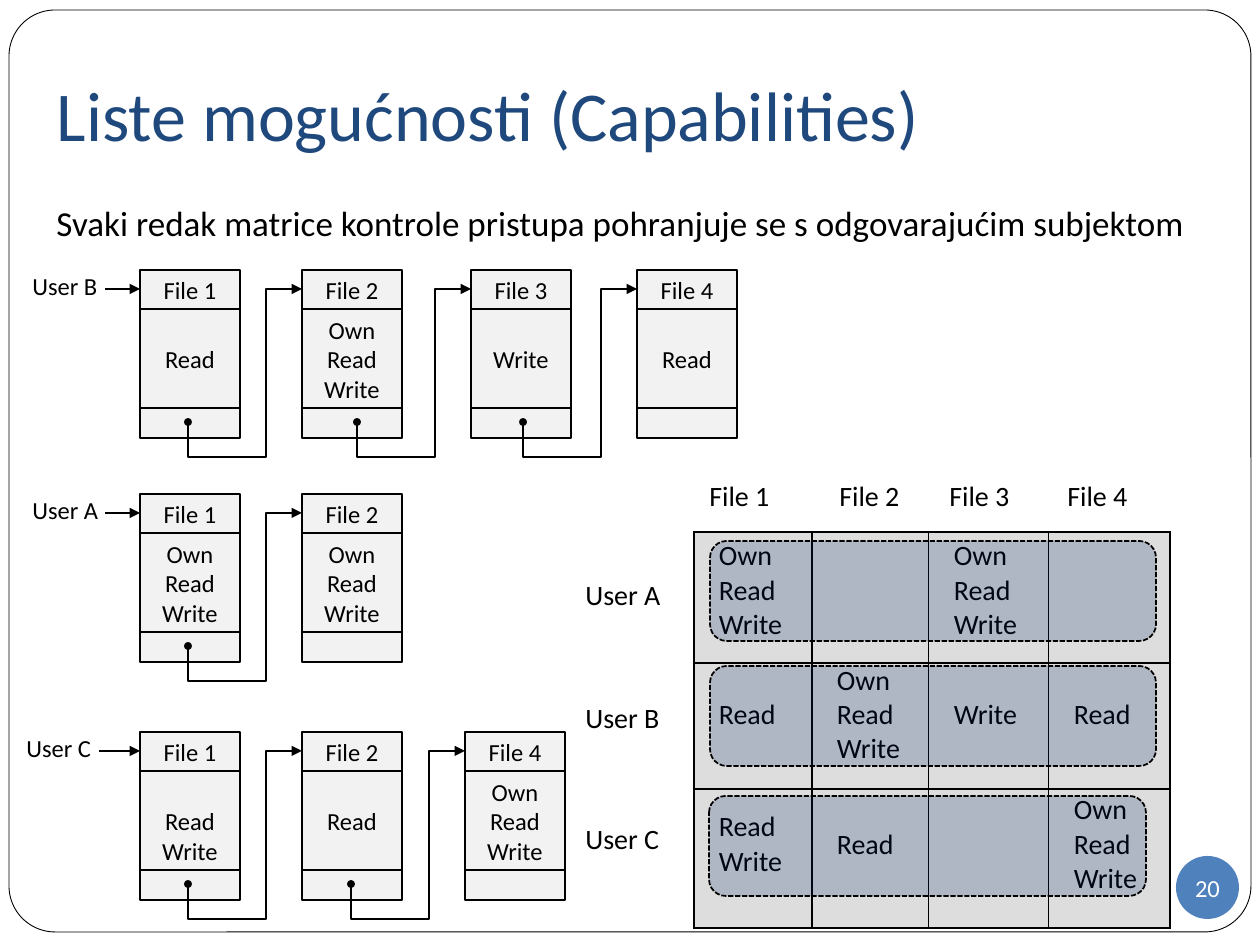
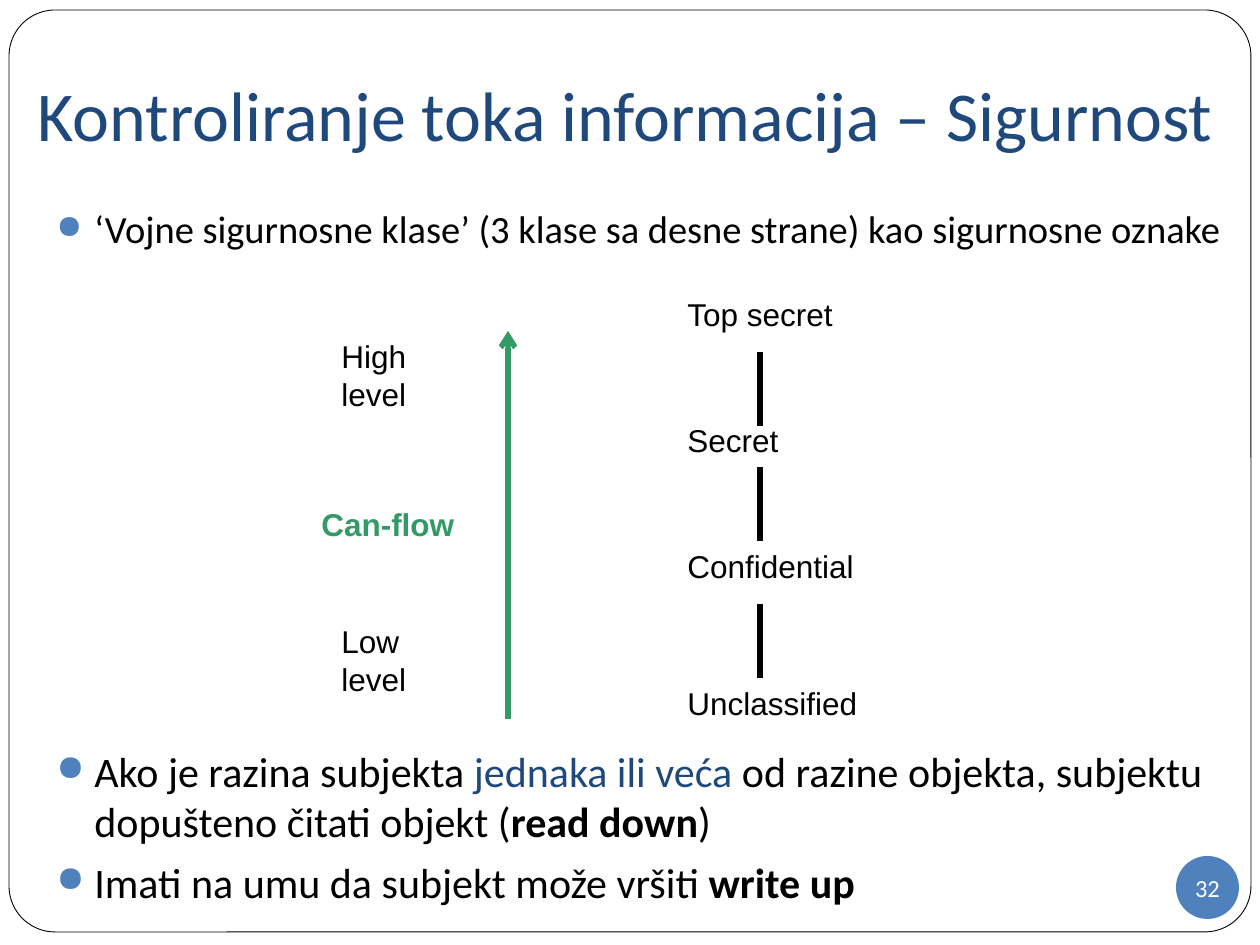
"""Build two slides on access control: capability lists and information flow."""
from lxml.etree import SubElement
from pptx import Presentation
from pptx.dml.color import RGBColor
from pptx.enum.dml import MSO_LINE
from pptx.enum.shapes import MSO_CONNECTOR, MSO_SHAPE
from pptx.enum.text import MSO_ANCHOR, PP_ALIGN
from pptx.oxml.ns import qn
from pptx.util import Emu, Inches, Pt

PX_PER_INCH = 126
BLACK = RGBColor(0x00, 0x00, 0x00)
WHITE = RGBColor(0xFF, 0xFF, 0xFF)
NAVY = RGBColor(0x1F, 0x49, 0x7D)
BLUE = RGBColor(0x4F, 0x81, 0xBD)
GREEN = RGBColor(0x33, 0x99, 0x66)
HIGHLIGHT = RGBColor(0x00, 0x20, 0x60)
NODE_GREY = RGBColor(0xF2, 0xF2, 0xF2)
MATRIX_GREY = RGBColor(0xDD, 0xDD, 0xDD)

TITLE = {"name": "Calibri", "size": Pt(40), "color": NAVY}
LEAD = {"name": "Calibri", "size": Pt(20), "color": BLACK}
BULLET_SMALL = {**LEAD, "size": Pt(22)}
BULLET = {**LEAD, "size": Pt(24)}
MATRIX = {**LEAD, "size": Pt(16)}
NODE = {**LEAD, "size": Pt(14)}
BADGE = {**NODE, "color": WHITE}
LEVEL = {"name": "Arial", "size": Pt(18), "color": BLACK}
FLOW = {**LEVEL, "color": GREEN, "bold": True}

ALL = ["Own", "Read", "Write"]
READ, WRITE = ["Read"], ["Write"]

CAPABILITIES = {
    "title": "Liste mogućnosti (Capabilities)",
    "title_left": 44,
    "number": "20",
    "lead": "Svaki redak matrice kontrole pristupa pohranjuje se s odgovarajućim subjektom",
}
CHAINS = [
    ("User B", 20, 270, [(140, "File 1", READ), (302, "File 2", ALL),
                         (471, "File 3", WRITE), (637, "File 4", READ)]),
    ("User A", 20, 494, [(140, "File 1", ALL), (302, "File 2", ALL)]),
    ("User C", 14, 732, [(140, "File 1", ["Read", "Write"]), (302, "File 2", READ),
                         (465, "File 4", ALL)]),
]
MATRIX_LEFT, MATRIX_TOP = 694, 532
MATRIX_FILES = [("File 1", 697, 118), ("File 2", 827, 117),
                ("File 3", 937, 120), ("File 4", 1055, 121)]
MATRIX_USERS = [
    {"user": "User A", "label_top": 571, "height": 131, "below": 14,
     "rights": [ALL, [], ALL, []], "band": (710, 541, 446, 100)},
    {"user": "User B", "label_top": 694, "height": 126, "below": 22,
     "rights": [READ, ALL, WRITE, READ], "band": (710, 666, 446, 100)},
    {"user": "User C", "label_top": 815, "height": 139, "below": 28,
     "rights": [["Read", "Write"], READ, [], ALL], "band": (709, 796, 437, 100)},
]

FLOW_CONTROL = {
    "title": "Kontroliranje toka informacija – Sigurnost",
    "title_left": 25,
    "number": "32",
    "top": ["‘Vojne sigurnosne klase’ (3 klase sa desne strane) kao sigurnosne oznake"],
    "bottom": [
        [("Ako je razina subjekta ", {}), ("jednaka ili veća ", {"color": NAVY}),
         ("od razine objekta, subjektu dopušteno čitati objekt (", {}),
         ("read down", {"bold": True}), (")", {})],
        [("Imati na umu da subjekt može vršiti ", {}), ("write up", {"bold": True})],
    ],
}
FLOW_LABELS = [
    ("Top secret", (675, 289, 210, 63), LEVEL),
    ("Secret", (675, 415, 210, 63), LEVEL),
    ("Confidential", (675, 541, 242, 63), LEVEL),
    ("Unclassified", (675, 678, 252, 63), LEVEL),
    ("High level", (329, 331, 136, 89), LEVEL),
    ("Low level", (329, 616, 136, 89), LEVEL),
    ("Can-flow", (309, 499, 189, 50), FLOW),
]
CLASS_LINK_TOPS, CLASS_LINK_LENGTH = (352, 467, 604), 74


def px(length):
    """Turn a length in px into EMU."""
    return Emu(round(length * Inches(1) / PX_PER_INCH))


def assign(target, **values):
    """Set every named attribute of the target."""
    for name, value in values.items():
        setattr(target, name, value)


def write(frame, lines, style, align=PP_ALIGN.LEFT, bullets=False, **frame_values):
    """Fill a text frame with lines, each a string or a list of styled spans."""
    assign(frame, word_wrap=True, **frame_values)
    for index, line in enumerate(lines):
        para = frame.paragraphs[0] if index == 0 else frame.add_paragraph()
        para.alignment = align
        for text, changes in [(line, {})] if isinstance(line, str) else line:
            span = para.add_run()
            span.text = text
            values = {**style, **changes}
            span.font.color.rgb = values.pop("color")
            assign(span.font, **values)
        if bullets:
            add_bullet(para, first=index == 0)


def add_bullet(para, first):
    """Give a paragraph a hanging round bullet."""
    para.space_before = Pt(0 if first else 5.8)
    properties = para._p.get_or_add_pPr()
    properties.set("marL", str(px(38)))
    properties.set("indent", str(px(-38)))
    color = SubElement(properties, qn("a:buClr"))
    SubElement(color, qn("a:srgbClr"), val=str(BLUE))
    SubElement(properties, qn("a:buSzPct"), val="85000")
    SubElement(properties, qn("a:buChar"), char="●")


def add_text(page, place, lines, style, **options):
    """Add a text box."""
    box = page.shapes.add_textbox(*map(px, place))
    write(box.text_frame, lines, style, **options)


def add_box(page, kind, place, fill, line_width=1):
    """Add a filled shape with a black outline, or none for width 0."""
    box = page.shapes.add_shape(kind, *map(px, place))
    box.shadow.inherit = False
    box.fill.solid()
    box.fill.fore_color.rgb = fill
    if line_width:
        box.line.color.rgb = BLACK
        box.line.width = Pt(line_width)
    else:
        box.line.fill.background()
    return box


def add_line(page, start, end, color=BLACK, width=1, head=None, kind=MSO_CONNECTOR.STRAIGHT):
    """Add a connector, with an arrowhead at its end if one is named."""
    line = page.shapes.add_connector(kind, *map(px, (*start, *end)))
    line.line.color.rgb = color
    line.line.width = Pt(width)
    properties = line.element.spPr
    if head:
        SubElement(properties.find(qn("a:ln")), qn("a:tailEnd"), type=head)
    SubElement(properties, qn("a:effectLst"))
    return line


def add_bent_arrow(page, start, end, drop, turn):
    """Add an arrow going down by drop, right by turn, up, then right to its end."""
    across, rise = end[0] - start[0], start[1] - end[1]
    middle_x, middle_y = (start[0] + end[0]) / 2, (start[1] + end[1]) / 2
    low = (middle_x + rise / 2, middle_y + across / 2)
    high = (middle_x - rise / 2, middle_y - across / 2)
    arrow = add_line(page, low, high, head="triangle", kind=MSO_CONNECTOR.ELBOW)
    properties = arrow.element.spPr
    properties.find(qn("a:xfrm")).set("rot", "5400000")
    geometry = properties.find(qn("a:prstGeom"))
    geometry.set("prst", "bentConnector4")
    guides = geometry.find(qn("a:avLst"))
    if guides is None:
        guides = SubElement(geometry, qn("a:avLst"))
    for name, share in (("adj1", -drop / rise), ("adj2", turn / across)):
        SubElement(guides, qn("a:gd"), name=name, fmla=f"val {round(share * 100000)}")


def add_page(deck, content):
    """Add a slide with the shared frame, title and number badge."""
    page = deck.slides.add_slide(deck.slide_layouts[5])
    title = page.shapes.title
    frame = add_box(page, MSO_SHAPE.ROUNDED_RECTANGLE, (9, 10, 1242, 922), WHITE, 0.5)
    frame.adjustments[0] = 0.05
    title.element.addprevious(frame.element)
    assign(title, left=px(content["title_left"]), top=px(38), width=px(1190), height=px(158))
    write(title.text_frame, [content["title"]], TITLE, vertical_anchor=MSO_ANCHOR.MIDDLE,
          margin_left=px(13), margin_right=px(0), margin_top=px(6), margin_bottom=px(13))
    badge = add_box(page, MSO_SHAPE.OVAL, (1176, 856, 63, 63), BLUE, 0)
    write(badge.text_frame, [content["number"]], BADGE, PP_ALIGN.CENTER,
          vertical_anchor=MSO_ANCHOR.MIDDLE, margin_left=0, margin_right=0,
          margin_top=0, margin_bottom=0)
    return page


def add_node(page, left, top, file, rights):
    """Add one list node: file name, rights and link field."""
    rights_anchor = MSO_ANCHOR.BOTTOM if len(rights) > 1 else MSO_ANCHOR.MIDDLE
    for offset, height, lines, anchor in ((39, 99, rights, rights_anchor),
                                          (0, 39, [file], MSO_ANCHOR.MIDDLE),
                                          (138, 30, [], MSO_ANCHOR.MIDDLE)):
        part = add_box(page, MSO_SHAPE.RECTANGLE, (left, top + offset, 100, height), NODE_GREY)
        write(part.text_frame, lines, NODE, PP_ALIGN.CENTER, vertical_anchor=anchor,
              margin_top=px(5), margin_bottom=px(5))


def add_chain(page, user, label_left, top, nodes):
    """Add a user's linked list of capabilities."""
    entry = top + 19
    add_text(page, (label_left, top - 5, 92, 43), [user], NODE)
    add_line(page, (label_left + 85, entry), (nodes[0][0], entry), head="triangle")
    for left, file, rights in nodes:
        add_node(page, left, top, file, rights)
    for next_left, *_ in nodes[1:]:
        dot = next_left - 114
        add_box(page, MSO_SHAPE.OVAL, (dot - 3, top + 149, 6, 6), BLACK)
        add_bent_arrow(page, (dot, top + 155), (next_left, entry), drop=32, turn=78)


def add_cell_borders(cell, row, column):
    """Draw thick lines on the table's rim and thin ones inside."""
    rims = {"lnL": column == 0, "lnR": column == len(MATRIX_FILES) - 1,
            "lnT": row == 0, "lnB": row == len(MATRIX_USERS) - 1}
    properties = cell._tc.get_or_add_tcPr()
    for side, on_rim in rims.items():
        border = SubElement(properties, qn(f"a:{side}"), w=str(Pt(1.5 if on_rim else 0.75)))
        fill = SubElement(border, qn("a:solidFill"))
        SubElement(fill, qn("a:srgbClr"), val=str(BLACK))


def add_matrix(page):
    """Add the access matrix with its labels and row highlights."""
    widths = [width for *_, width in MATRIX_FILES]
    heights = [entry["height"] for entry in MATRIX_USERS]
    place = (MATRIX_LEFT, MATRIX_TOP, sum(widths), sum(heights))
    table = page.shapes.add_table(len(heights), len(widths), *map(px, place)).table
    assign(table, first_row=False, horz_banding=False)
    for column, (file, label_left, width) in zip(table.columns, MATRIX_FILES):
        column.width = px(width)
        add_text(page, (label_left, 472, 116, 44), [file], MATRIX)
    for row, entry in enumerate(MATRIX_USERS):
        table.rows[row].height = px(entry["height"])
        add_text(page, (573, entry["label_top"], 115, 44), [entry["user"]], MATRIX)
        for column, rights in enumerate(entry["rights"]):
            cell = table.cell(row, column)
            add_cell_borders(cell, row, column)
            cell.fill.solid()
            cell.fill.fore_color.rgb = MATRIX_GREY
            write(cell.text_frame, rights, MATRIX)
            assign(cell, vertical_anchor=MSO_ANCHOR.MIDDLE, margin_left=px(25),
                   margin_right=0, margin_top=0, margin_bottom=px(entry["below"]))
        band = add_box(page, MSO_SHAPE.ROUNDED_RECTANGLE, entry["band"], HIGHLIGHT)
        band.line.dash_style = MSO_LINE.SQUARE_DOT
        color = band.element.spPr.find(qn("a:solidFill")).find(qn("a:srgbClr"))
        SubElement(color, qn("a:alpha"), val="20000")


def build_capabilities(deck):
    """Build the slide on capability lists."""
    page = add_page(deck, CAPABILITIES)
    add_text(page, (44, 195, 1181, 60), [CAPABILITIES["lead"]], LEAD)
    for chain in CHAINS:
        add_chain(page, *chain)
    add_matrix(page)


def build_flow_control(deck):
    """Build the slide on information flow."""
    page = add_page(deck, FLOW_CONTROL)
    add_text(page, (44, 199, 1201, 60), FLOW_CONTROL["top"], BULLET_SMALL, bullets=True)
    add_text(page, (44, 739, 1201, 175), FLOW_CONTROL["bottom"], BULLET, bullets=True)
    for text, place, style in FLOW_LABELS:
        add_text(page, place, [text], style)
    for top in CLASS_LINK_TOPS:
        add_line(page, (760, top + CLASS_LINK_LENGTH), (760, top), width=3)
    add_line(page, (508, 719), (508, 331), GREEN, 3, "arrow")


def main():
    """Build and save the deck."""
    deck = Presentation()
    assign(deck, slide_width=Inches(10), slide_height=Inches(7.5))
    build_capabilities(deck)
    build_flow_control(deck)
    deck.save("out.pptx")


if __name__ == "__main__":
    main()
